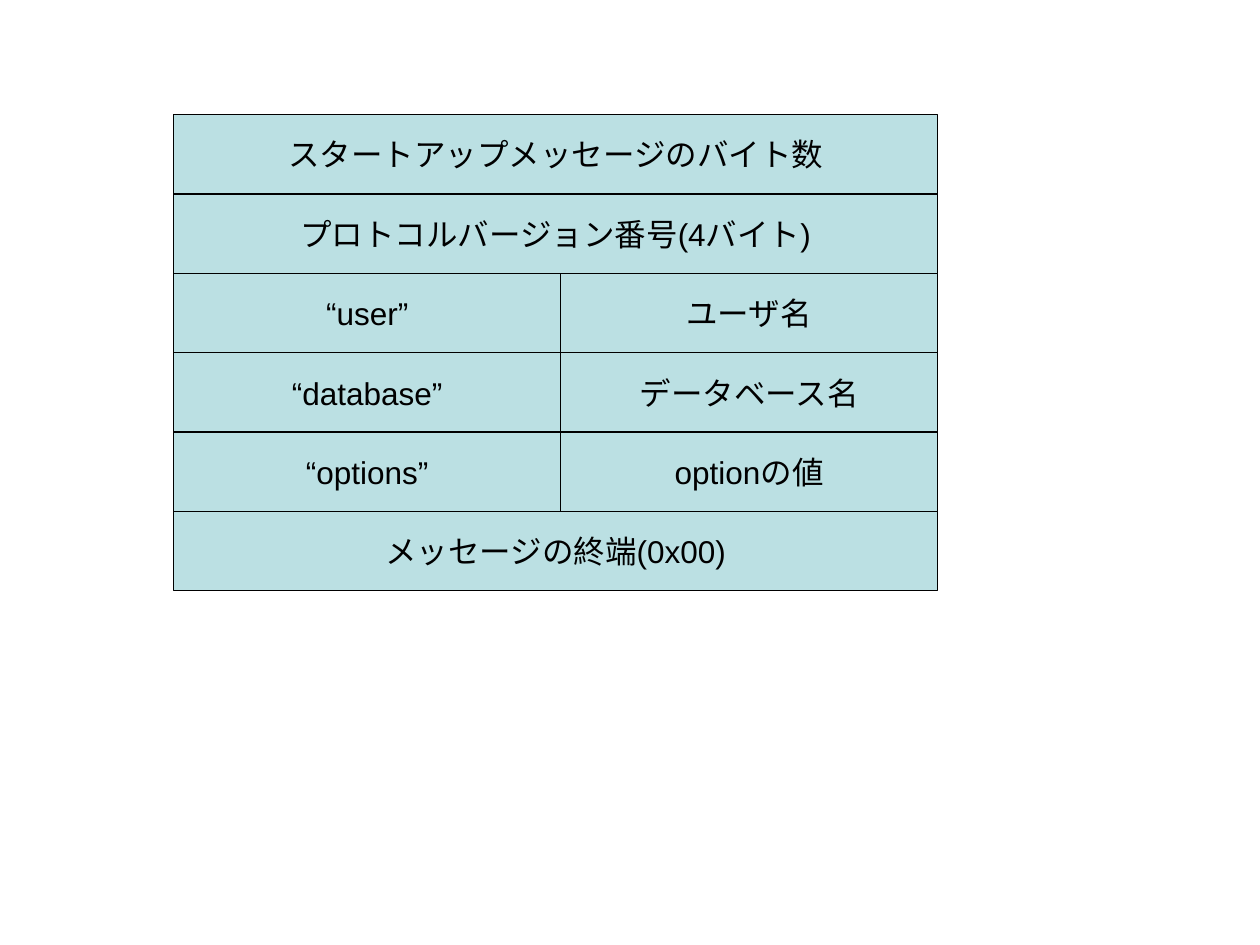
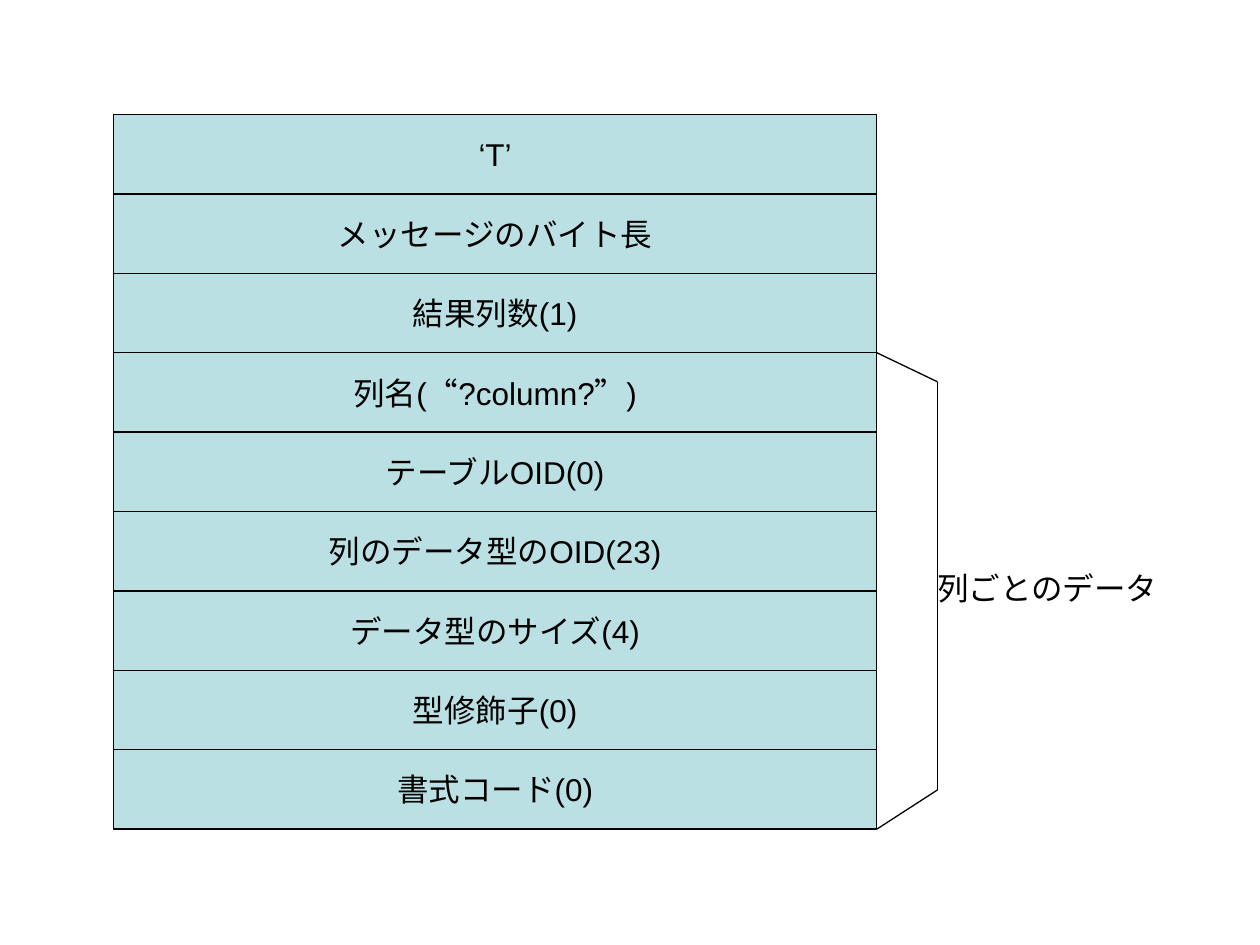
from pptx import Presentation
from pptx.dml.color import RGBColor
from pptx.enum.shapes import MSO_CONNECTOR as CONN, MSO_SHAPE as SHAPE
from pptx.enum.text import MSO_ANCHOR as ANCHOR, MSO_AUTO_SIZE as AUTO, PP_ALIGN as ALIGN
from pptx.oxml.ns import qn
from pptx.util import Inches, Pt
from lxml.etree import SubElement

# Content: one tuple per row of a message, one text per field
STARTUP = [
    ("スタートアップメッセージのバイト数",),
    ("プロトコルバージョン番号(4バイト)",),
    ("“user”", "ユーザ名"),
    ("“database”", "データベース名"),
    ("“options”", "optionの値"),
    ("メッセージの終端(0x00)",),
]
ROW_DESCRIPTION = [
    ("‘T’",),
    ("メッセージのバイト長",),
    ("結果列数(1)",),
    ("列名(“?column?”)",),
    ("テーブルOID(0)",),
    ("列のデータ型のOID(23)",),
    ("データ型のサイズ(4)",),
    ("型修飾子(0)",),
    ("書式コード(0)",),
]
PER_COLUMN = "列ごとのデータ"
FIRST_PER_COLUMN = 3  # index of the first row inside the bracket

# Shared look and grid, in inches
FILL, INK, FONT = "BBE0E3", "000000", "Arial"
TOP, ROW_H, WIDTH, KEY_W = 0.91, 0.63, 6.06, 3.07
STARTUP_X, DESCRIPTION_X = 1.38, 0.9
BRACKET_W = 0.48


def color(hex_text):
    return RGBColor.from_string(hex_text)


def write(shape, text, align=ALIGN.LEFT, anchor=ANCHOR.TOP, size=18):
    tf = shape.text_frame
    tf.word_wrap = False
    tf.vertical_anchor = anchor
    p = tf.paragraphs[0]
    p.alignment = align
    r = p.add_run()
    r.text = text
    r.font.name, r.font.size = FONT, Pt(size)
    r.font.color.rgb = color(INK)


def outline(shape):
    shape.line.color.rgb = color(INK)
    shape.line.width = Pt(0.75)


def field(s, text, x, y, w):
    sp = s.shapes.add_shape(SHAPE.RECTANGLE, *map(Inches, (x, y, w, ROW_H)))
    sp.shadow.inherit = False
    sp.fill.solid()
    sp.fill.fore_color.rgb = color(FILL)
    outline(sp)
    write(sp, text, align=ALIGN.CENTER, anchor=ANCHOR.MIDDLE)


def message(s, rows, left):
    for i, texts in enumerate(rows):
        widths = [WIDTH] if len(texts) == 1 else [KEY_W, WIDTH - KEY_W]
        x = left
        for text, w in zip(texts, widths):
            field(s, text, x, TOP + i * ROW_H, w)
            x += w


def bracket(s, x, top, bottom):
    tip = x + BRACKET_W
    points = [(x, top), (tip, top + 0.23), (tip, bottom - 0.31), (x, bottom)]
    for start, end in zip(points, points[1:]):
        line = s.shapes.add_connector(CONN.STRAIGHT, *map(Inches, start + end))
        outline(line)
        SubElement(line._element.spPr, qn("a:effectLst"))


def label(s, text, x, y, w, h):
    box = s.shapes.add_textbox(*map(Inches, (x, y, w, h)))
    write(box, text)
    box.text_frame.auto_size = AUTO.SHAPE_TO_FIT_TEXT


def main():
    prs = Presentation()
    prs.slide_width, prs.slide_height = Inches(10), Inches(7.5)
    blank = prs.slide_layouts[6]

    # Startup message
    message(prs.slides.add_slide(blank), STARTUP, STARTUP_X)

    # Row description, with the rows repeated for each column bracketed
    s = prs.slides.add_slide(blank)
    message(s, ROW_DESCRIPTION, DESCRIPTION_X)
    right = DESCRIPTION_X + WIDTH
    bracket(s, right, TOP + FIRST_PER_COLUMN * ROW_H, TOP + len(ROW_DESCRIPTION) * ROW_H)
    label(s, PER_COLUMN, right + BRACKET_W - 0.1, 4.47, 1.95, 0.4)

    prs.save("out.pptx")


if __name__ == "__main__":
    main()
